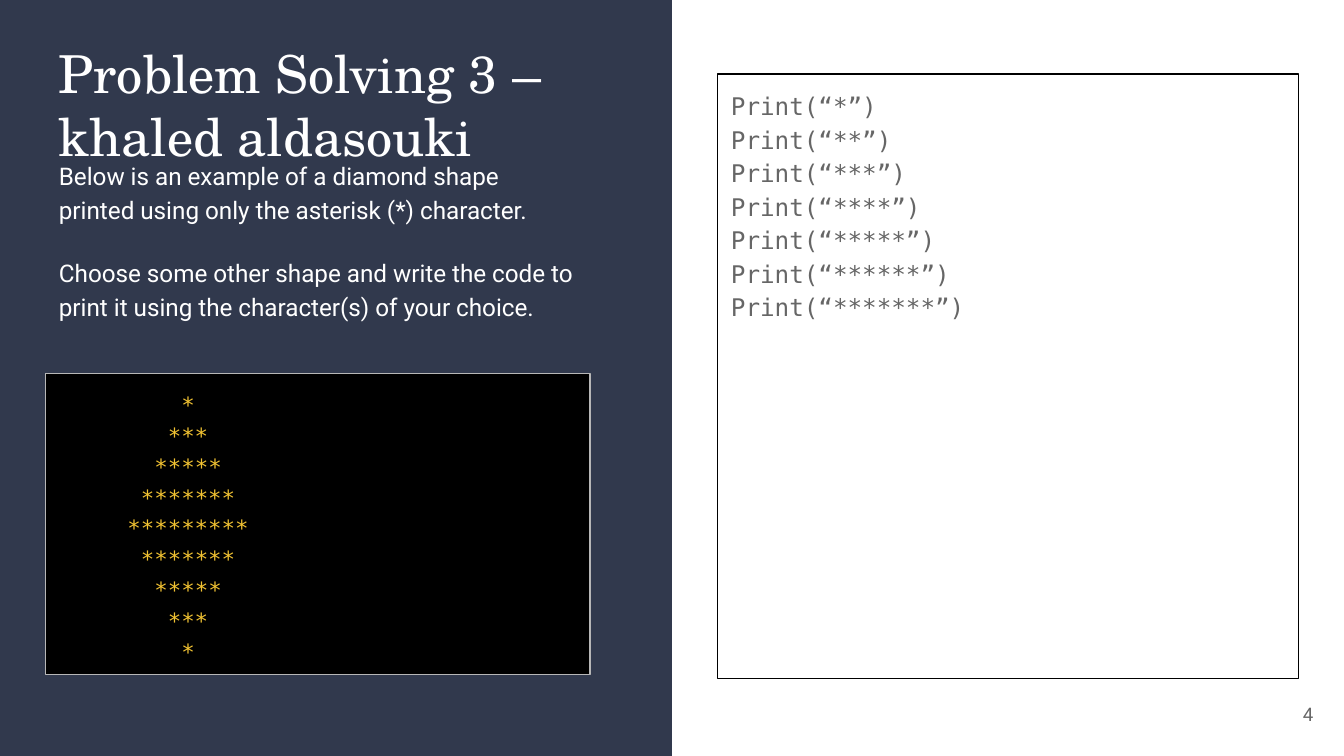
from pptx import Presentation
from pptx.dml.color import RGBColor
from pptx.enum import shapes, text
from pptx.util import Inches, Pt

NAVY = RGBColor(0x31, 0x39, 0x4D)
WHITE = RGBColor(0xFF, 0xFF, 0xFF)
BLACK = RGBColor(0, 0, 0)
GRAY = RGBColor(0x66, 0x66, 0x66)
SILVER = RGBColor(0xB7, 0xB7, 0xB7)
GOLD = RGBColor(0xF1, 0xC2, 0x32)
SERIF, SANS, MONO = "TeX Gyre Schola", "Roboto", "DejaVu Sans Mono"

WIDTH = 10
HEIGHT = WIDTH * 9 / 16
LEFT, COLUMN = 0.34, 4.05
PADDING = 0.1
DIAMOND_CENTER = 1.06

TITLE = ["Problem Solving 3 –\vkhaled aldasouki"]
INSTRUCTIONS = [
    "Below is an example of a diamond shape printed using only the asterisk (*) character.",
    "Choose some other shape and write the code to print it using the character(s) of your choice.",
]
DIAMOND = ["*" * count for count in (1, 3, 5, 7, 9, 7, 5, 3, 1)]
CODE = [f"Print(“{'*' * count}”)" for count in range(1, 8)]
PAGE_NUMBER = ["4"]


def add_panel(slide, box, fill=None, line=None):
    panel = slide.shapes.add_shape(shapes.MSO_SHAPE.RECTANGLE, *map(Inches, box))
    panel.shadow.inherit = False
    if fill is None:
        panel.fill.background()
    else:
        panel.fill.solid()
        panel.fill.fore_color.rgb = fill
    if line is None:
        panel.line.fill.background()
    else:
        panel.line.color.rgb = line
        panel.line.width = Pt(0.75)
    return panel


def add_label(slide, box):
    return slide.shapes.add_textbox(*map(Inches, box))


def write(holder, lines, font, size, color, spacing=1.15,
          align=text.PP_ALIGN.LEFT, anchor=text.MSO_ANCHOR.TOP):
    frame = holder.text_frame
    frame.word_wrap = True
    frame.vertical_anchor = anchor
    frame.margin_left = frame.margin_right = Inches(PADDING)
    frame.margin_top = frame.margin_bottom = Inches(PADDING)
    frame.text = "\n".join(lines)
    for paragraph in frame.paragraphs:
        paragraph.alignment = align
        paragraph.line_spacing = spacing
        for run in paragraph.runs:
            run.font.name = font
            run.font.size = Pt(size)
            run.font.color.rgb = color
    return frame


deck = Presentation()
deck.slide_width, deck.slide_height = Inches(WIDTH), Inches(HEIGHT)
slide = deck.slides.add_slide(deck.slide_layouts[6])

add_panel(slide, (0, 0, WIDTH / 2, HEIGHT), fill=NAVY)
write(add_label(slide, (9.27, 5.1, 0.6, 0.43)), PAGE_NUMBER, SANS, 10, GRAY,
      spacing=1.0, align=text.PP_ALIGN.RIGHT, anchor=text.MSO_ANCHOR.MIDDLE)
write(add_label(slide, (LEFT, 0.21, COLUMN, 2.24)), TITLE, SERIF, 28, WHITE, spacing=1.0)
write(add_panel(slide, (5.34, 0.55, 4.32, 4.5), line=BLACK), CODE, MONO, 13, GRAY)

instructions = write(add_label(slide, (LEFT, 1.07, COLUMN, 1.42)), INSTRUCTIONS, SANS, 13, WHITE)
instructions.paragraphs[1].space_before = Pt(16)
instructions.paragraphs[1].space_after = Pt(16)

diamond = write(add_panel(slide, (LEFT, 2.78, COLUMN, 2.24), fill=BLACK, line=SILVER),
                DIAMOND, MONO, 12, GOLD, align=text.PP_ALIGN.CENTER)
diamond.margin_right = Inches(COLUMN - 2 * DIAMOND_CENTER + PADDING)

deck.save("out.pptx")
